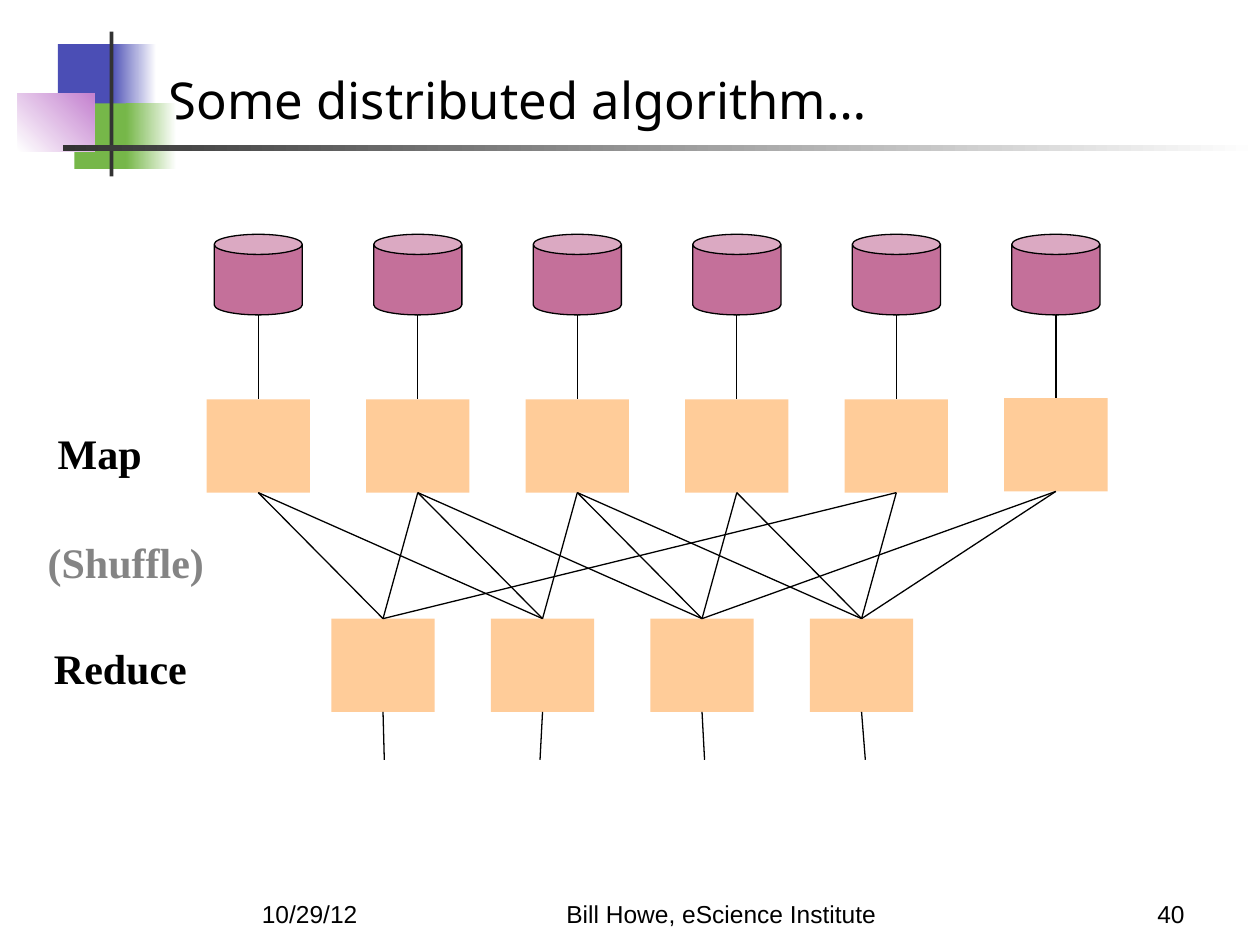
from lxml import etree
from pptx import Presentation
from pptx.dml.color import RGBColor
from pptx.enum.shapes import MSO_CONNECTOR, MSO_SHAPE
from pptx.enum.text import MSO_ANCHOR, PP_ALIGN
from pptx.oxml.ns import qn
from pptx.util import Pt

PX = 9144  # EMU per px, 100 px to the inch
RECT, CAN = MSO_SHAPE.RECTANGLE, MSO_SHAPE.CAN
STRAIGHT = MSO_CONNECTOR.STRAIGHT
TOP, BOTTOM = MSO_ANCHOR.TOP, MSO_ANCHOR.BOTTOM
LEFT, CENTER, RIGHT = PP_ALIGN.LEFT, PP_ALIGN.CENTER, PP_ALIGN.RIGHT
SIDE_TOP, SIDE_BOTTOM = 0, 2

COLORS = {
    "black": "000000", "white": "FFFFFF", "blue": "4B4EB5", "green": "76B749",
    "purple": "C481CF", "dark": "333333", "task": "FFCC99", "store": "C4709A",
    "muted": "848484",
}
TITLE_FONT = {"name": "Noto Sans", "size": Pt(29), "bold": False}
FOOTER_FONT = {"name": "Arial", "size": Pt(14)}
LABEL_FONT = {"name": "Times New Roman", "size": Pt(24), "bold": True}

TASK_W, TASK_H, PITCH = 82, 74, 126.6
CAN_W, CAN_H = 70, 64
# reduce tasks fed by each map task
SHUFFLE = [(0, 1), (0, 1, 2), (1, 2, 3), (2, 3), (0, 3), (2, 3)]


def emu(*lengths):
    return [round(v * PX) for v in lengths]


def rgb(name):
    return RGBColor.from_string(COLORS[name])


def add_block(slide, kind, box, fill, fade_to=None, angle=0, outline=False):
    s = slide.shapes.add_shape(kind, *emu(*box))
    s.shadow.inherit = False
    if fade_to:
        s.fill.gradient()
        s.fill.gradient_angle = angle
        for stop, name in zip(s.fill.gradient_stops, (fill, fade_to)):
            stop.color.rgb = rgb(name)
    else:
        s.fill.solid()
        s.fill.fore_color.rgb = rgb(fill)
    if outline:
        s.line.color.rgb = rgb("black")
        s.line.width = Pt(0.75)
    else:
        s.line.fill.background()
    return s


def add_link(slide, start, end, source=None, target=None):
    c = slide.shapes.add_connector(STRAIGHT, *emu(*start, *end))
    c.line.color.rgb = rgb("black")
    c.line.width = Pt(0.75)
    etree.SubElement(c._element.spPr, qn("a:effectLst"))
    if source:
        c.begin_connect(source, SIDE_BOTTOM)
    if target:
        c.end_connect(target, SIDE_TOP)


def write(shape, text, font, color="black", align=LEFT, anchor=TOP):
    tf = shape.text_frame
    tf.word_wrap = True
    tf.vertical_anchor = anchor
    p = tf.paragraphs[0]
    p.alignment = align
    r = p.add_run()
    r.text = text
    for key, value in font.items():
        setattr(r.font, key, value)
    r.font.color.rgb = rgb(color)


def add_text(slide, box, *args, **kwargs):
    write(slide.shapes.add_textbox(*emu(*box)), *args, **kwargs)


def add_header(slide, x, y):
    # Coloured squares fading out, then the crossing bars
    add_block(slide, RECT, (x + 32, y + 10, 48, 52), "blue")
    add_block(slide, RECT, (x + 74, y + 10, 36, 52), "blue", "white")
    add_block(slide, RECT, (x + 45, y + 57, 46, 52), "green")
    add_block(slide, RECT, (x + 86, y + 57, 40, 52), "green", "white")
    add_block(slide, RECT, (x, y + 49, 61, 46), "white", "purple", 45)
    add_block(slide, RECT, (x + 73, y, 3, 115), "dark")
    add_block(slide, RECT, (x + 36, y + 90, 950, 5), "dark", "white")

    title = slide.shapes.title
    title.left, title.top, title.width, title.height = emu(x + 110, y + 10, 852, 73)
    write(title, "Some distributed algorithm…", TITLE_FONT, anchor=BOTTOM)


def add_tasks(slide, x, y, count, last_shift=0):
    shifts = [0] * (count - 1) + [last_shift]
    return [add_block(slide, RECT, (x + i * PITCH, y + dy, TASK_W, TASK_H), "task")
            for i, dy in enumerate(shifts)]


def add_diagram(slide, x, y):
    maps = add_tasks(slide, x, y + 131, 6, last_shift=-1)
    reduces = add_tasks(slide, x + 99, y + 305, 4)

    # Shuffle
    for task, targets in zip(maps, SHUFFLE):
        for i in targets:
            add_link(slide, (x, y), (x, y), task, reduces[i])

    # Data stores feeding the map tasks
    for i, task in enumerate(maps):
        left = x + 6 + i * PITCH
        foot = (left + CAN_W / 2, y + CAN_H)
        add_link(slide, foot, foot, target=task)
        add_block(slide, CAN, (left, y, CAN_W, CAN_H), "store", outline=True)

    # Outputs, each leaning slightly
    for i, (task, lean) in enumerate(zip(reduces, (1, -2, 2, 3))):
        mid = x + 99 + i * PITCH + TASK_W / 2
        add_link(slide, (mid, y + 379), (mid + lean, y + 417), source=task)


def add_labels(slide, x, y):
    add_text(slide, (x + 8, y, 101, 50), "Map", LABEL_FONT)
    add_text(slide, (x, y + 87, 158, 50), "(Shuffle)", LABEL_FONT, "muted")
    add_text(slide, (x + 5, y + 171, 130, 50), "Reduce", LABEL_FONT)


def add_footer(slide, x, y):
    for dx, width, text, align in (
        (0, 208, "10/29/12", LEFT),
        (216, 317, "Bill Howe, eScience Institute", CENTER),
        (544, 208, "40", RIGHT),
    ):
        add_text(slide, (x + dx, y, width, 50), text, FOOTER_FONT,
                 align=align, anchor=BOTTOM)


def main():
    prs = Presentation()
    prs.slide_width, prs.slide_height = emu(1000, 750)
    slide = prs.slides.add_slide(prs.slide_layouts[5])
    add_header(slide, 14, 25)
    add_footer(slide, 198, 692)
    add_diagram(slide, 164, 186)
    add_labels(slide, 28, 334)
    prs.save("out.pptx")


if __name__ == "__main__":
    main()
